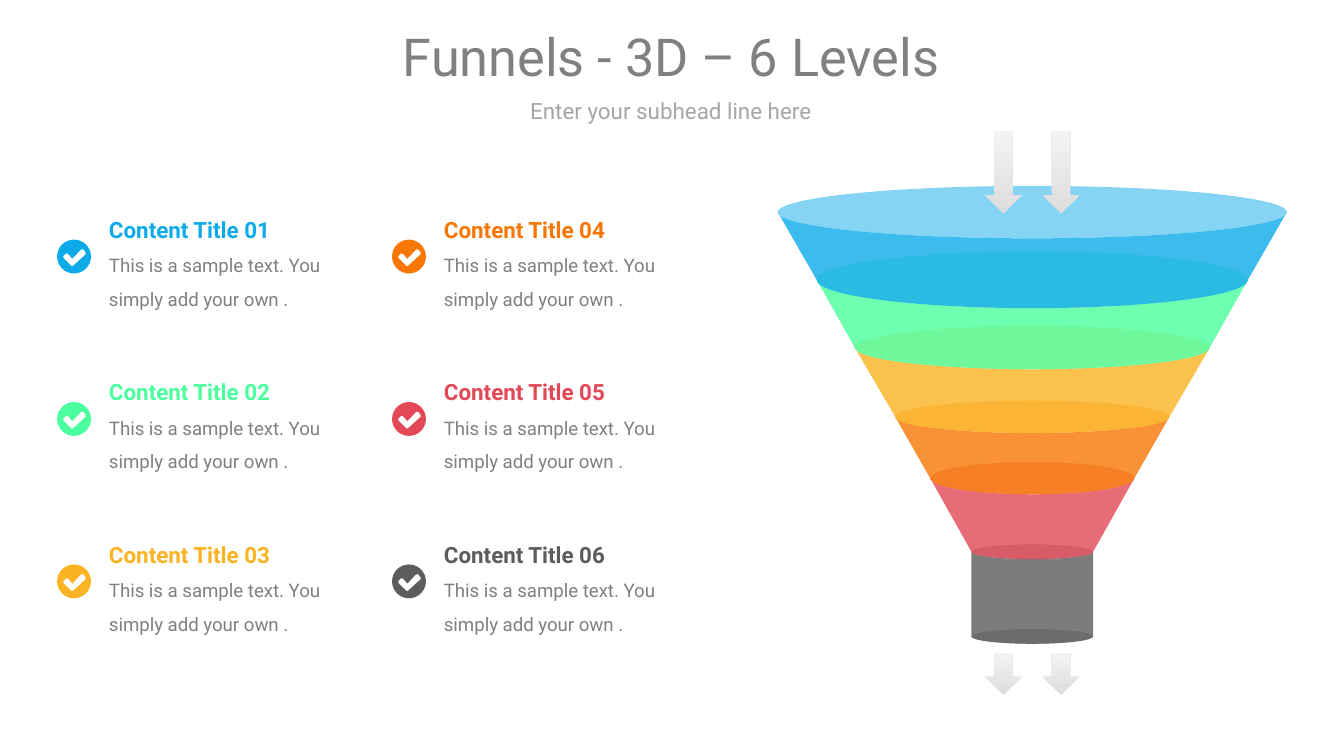
"""Builds a slide with a six-level funnel and six titled notes."""
from lxml import etree
from pptx import Presentation
from pptx import util as u
from pptx.dml import color as dml
from pptx.enum import shapes, text
from pptx.oxml import ns

Cm = u.Cm
hues = {
    "blue": "0CAAE9", "green": "4BFF9E", "yellow": "FBB321",
    "orange": "F87604", "red": "E34857", "dark": "5C5C5C",
    "gray": "808080", "light": "A6A6A6", "tip": "F3F3F3", "base": "DDDDDD",
}
levels = ["blue", "green", "yellow", "orange", "red", "dark"]

deck = Presentation()
deck.slide_width, deck.slide_height = Cm(25.4), Cm(14.29)
slide = deck.slides.add_slide(deck.slide_layouts[6])
items = slide.shapes


def write(lines, left, top, width, height, align=text.PP_ALIGN.LEFT, gap=1.0):
    box = items.add_textbox(Cm(left), Cm(top), Cm(width), Cm(height))
    frame = box.text_frame
    frame.word_wrap = True
    frame.vertical_anchor = text.MSO_ANCHOR.MIDDLE
    frame.margin_left = frame.margin_right = 0
    frame.margin_top = frame.margin_bottom = 0
    for n, (words, size, hue, bold) in enumerate(lines):
        para = frame.add_paragraph() if n else frame.paragraphs[0]
        para.alignment, para.line_spacing = align, gap
        run = para.add_run()
        run.text = words
        run.font.name, run.font.size, run.font.bold = "Roboto", u.Pt(size), bold
        run.font.color.rgb = dml.RGBColor.from_string(hues[hue])


def paint(shape, hue, alpha=100):
    shape.shadow.inherit = False
    shape.line.fill.background()
    shape.fill.solid()
    shape.fill.fore_color.rgb = dml.RGBColor.from_string(hues[hue])
    if alpha < 100:
        tint = shape.element.spPr.find(".//" + ns.qn("a:srgbClr"))
        etree.SubElement(tint, ns.qn("a:alpha"), val=str(alpha * 1000))


mid = text.PP_ALIGN.CENTER
write([("Enter your subhead line here", 12, "light", False)], 1.06, 1.86, 23.24, 0.48, align=mid)
write([("Funnels - 3D – 6 Levels", 28, "gray", False)], 1.06, 0.36, 23.24, 1.37, align=mid)

axis = 19.51
rims = [(4.01, 9.62, 0.99), (5.29, 8.15, 1.07), (6.57, 6.71, 0.82), (7.88, 5.18, 0.61),
        (9.04, 3.86, 0.61), (10.43, 2.3, 0.28), (12.03, 2.3, 0.28)]

for (y, wide, high), hue in reversed(list(zip(rims, levels + ["dark"]))):
    rim = items.add_shape(shapes.MSO_SHAPE.OVAL, Cm(axis - wide / 2), Cm(y - high / 2), Cm(wide), Cm(high))
    paint(rim, hue, 50)

for top, high in [(12.35, 0.79), (2.47, 1.57)]:
    for left in (18.62, 19.71):
        arrow = items.add_shape(shapes.MSO_SHAPE.DOWN_ARROW, Cm(left), Cm(top), Cm(0.69), Cm(high))
        arrow.shadow.inherit = False
        arrow.line.fill.background()
        arrow.fill.gradient()
        arrow.fill.gradient_angle = 90
        for stop, hue in zip(arrow.fill.gradient_stops, ("base", "tip")):
            stop.color.rgb = dml.RGBColor.from_string(hues[hue])

bow = 0.55
arc = [(1, 0), (1, bow), (bow, 1), (0, 1), (-bow, 1), (-1, bow), (-1, 0)]
disc = [(0.32 * dx, 0.32 * dy) for dx, dy in arc + [(-dx, -dy) for dx, dy in arc[1:]]]
peaks = [(0.22, -0.08), (0.17, -0.14), (0.13, -0.13), (-0.03, 0.04), (-0.11, -0.05), (-0.15, -0.06),
         (-0.2, -0.01), (-0.2, 0.03), (-0.05, 0.18), (-0.02, 0.18), (0.22, -0.04)]
tick = peaks[:1] + [spot for spot in peaks[1:] for _ in range(3)]

plans = []
for n in reversed(range(len(levels))):
    upper, lower = [[(axis + wide / 2 * dx, y + high / 2 * dy) for dx, dy in arc]
                    for y, wide, high in rims[n:n + 2]]
    plans.append((levels[n], 80, [upper + lower[-1:] * 3 + lower[-2::-1]]))

for n, hue in enumerate(levels):
    col, row = divmod(n, 3)
    x, y = 1.4 + 6.33 * col, 4.85 + 3.07 * row
    write([(f"Content Title {n + 1:02}", 12, hue, True),
           ("This is a sample text. You simply add your own .", 10, "gray", False)],
          x + 0.66, y - 1.03, 4.39, 2.06, gap=1.5)
    plans.append((hue, 100, [[(x + dx, y + dy) for dx, dy in part] for part in (disc, tick)]))

for hue, alpha, parts in plans:
    pen = None
    for part in parts:
        spots = [(Cm(x), Cm(y)) for x, y in part]
        if pen:
            pen.move_to(*spots[0])
        else:
            pen = items.build_freeform(*spots[0])
        pen.add_line_segments(spots[1:])
    form = pen.convert_to_shape()
    legs = list(form.element.spPr.iter(ns.qn("a:lnTo")))
    for n in range(0, len(legs), 3):
        curve = etree.Element(ns.qn("a:cubicBezTo"))
        legs[n].addprevious(curve)
        for leg in legs[n:n + 3]:
            curve.append(leg[0])
            leg.getparent().remove(leg)
    paint(form, hue, alpha)

deck.save("out.pptx")
